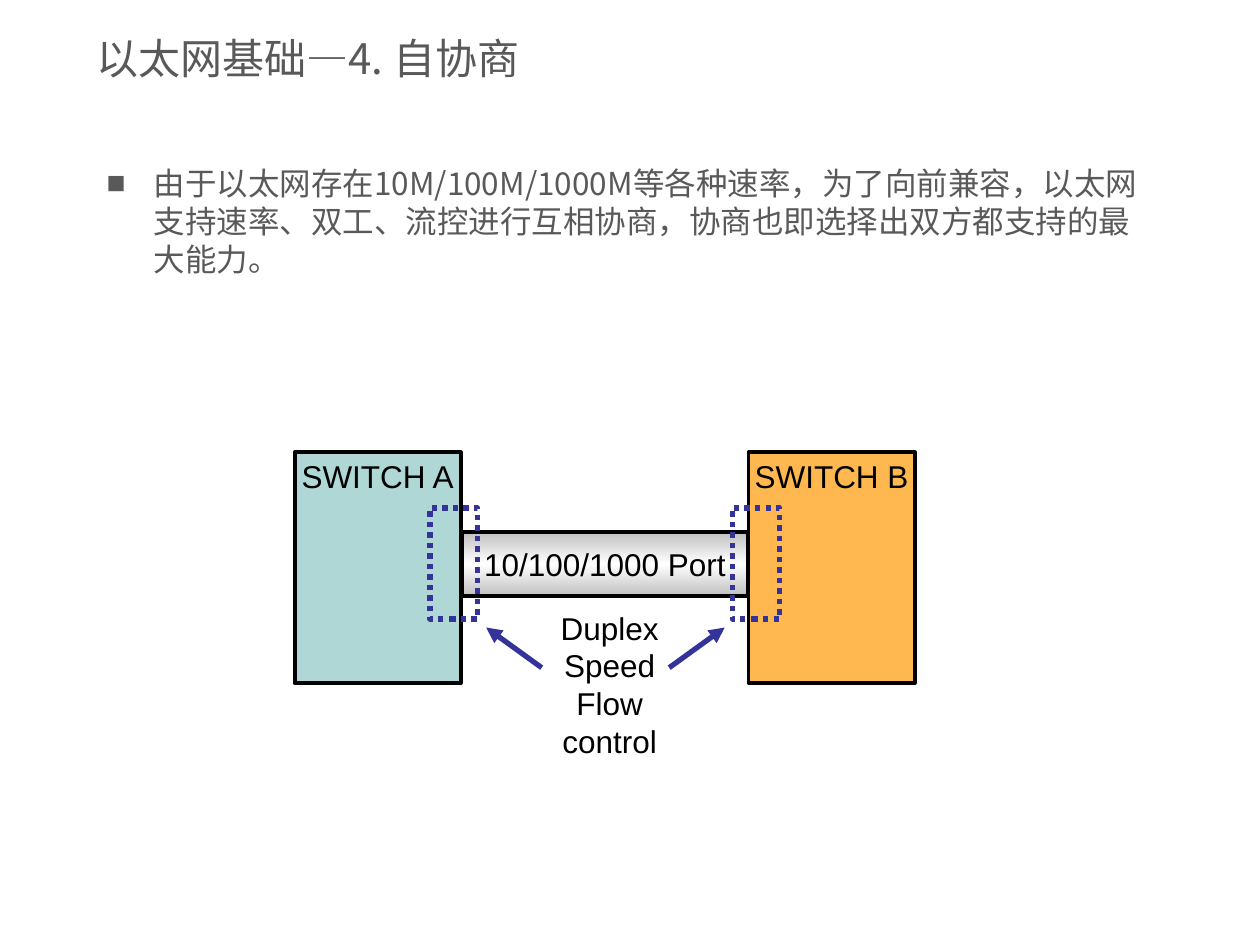
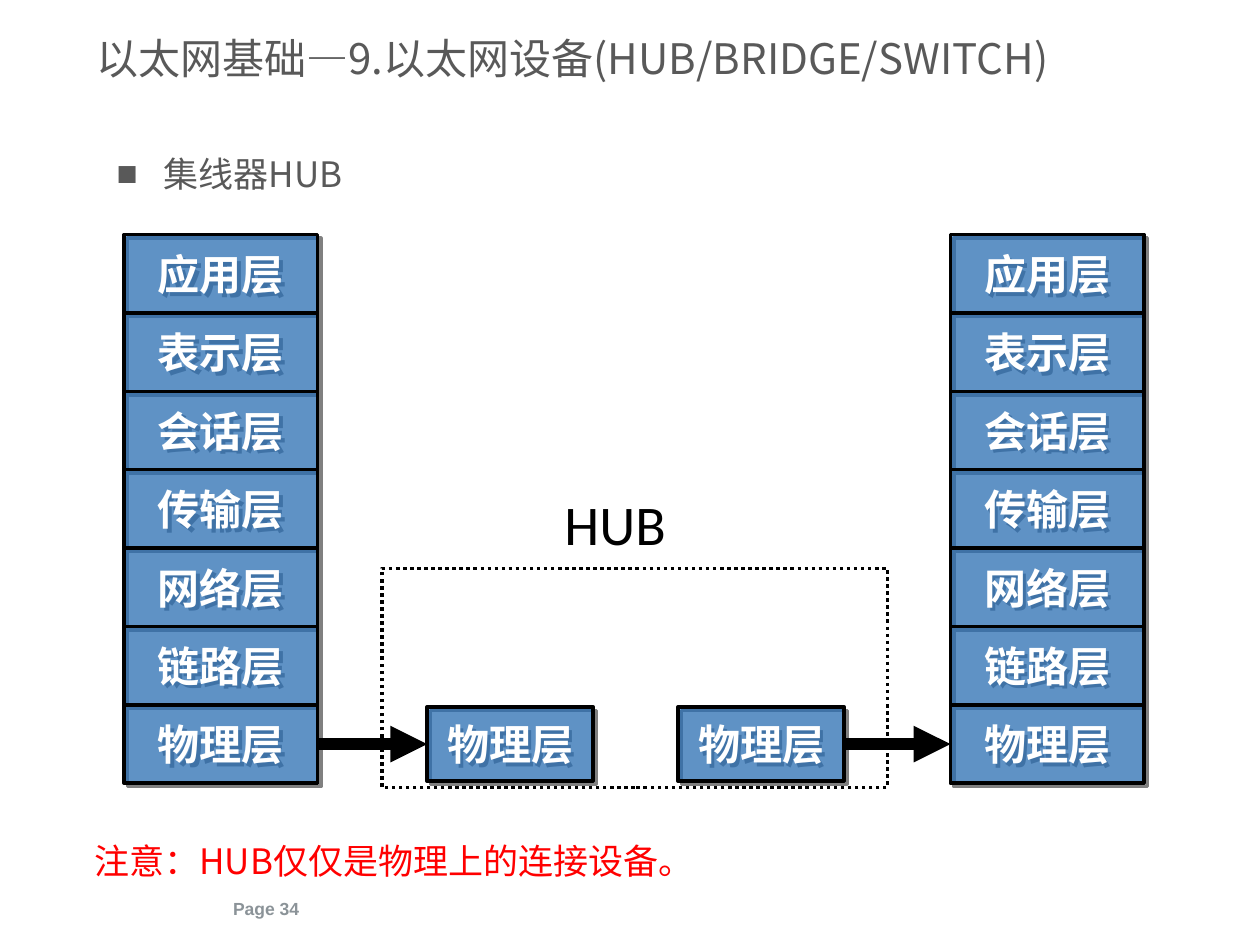
from dataclasses import dataclass
from typing import Optional

import lxml.etree
import pptx
import pptx.dml.color
import pptx.enum.dml
import pptx.enum.shapes
import pptx.enum.text
import pptx.oxml.ns
import pptx.shapes.autoshape
import pptx.shapes.connector
import pptx.slide
import pptx.util

Cm = pptx.util.Cm
Pt = pptx.util.Pt
RGBColor = pptx.dml.color.RGBColor
Align = pptx.enum.text.PP_ALIGN
Anchor = pptx.enum.text.MSO_ANCHOR
Shape = pptx.shapes.autoshape.Shape
Line = pptx.shapes.connector.Connector
Slide = pptx.slide.Slide
qn = pptx.oxml.ns.qn

BLACK = RGBColor(0x00, 0x00, 0x00)
WHITE = RGBColor(0xFF, 0xFF, 0xFF)
GREY = RGBColor(0x59, 0x59, 0x59)
SLATE = RGBColor(0x8B, 0x93, 0x98)
SILVER = RGBColor(0xC0, 0xC0, 0xC0)
RED = RGBColor(0xFF, 0x00, 0x00)
BLUE = RGBColor(0x00, 0x66, 0xCC)
NAVY = RGBColor(0x33, 0x33, 0x99)
TEAL = RGBColor(0xAE, 0xD7, 0xD6)
AMBER = RGBColor(0xFF, 0xB8, 0x4F)

HAN = "Noto Sans CJK SC"
LAYERS = ["应用层", "表示层", "会话层", "传输层", "网络层", "链路层", "物理层"]
LAYER_TOP, LAYER_WIDE, LAYER_HIGH = 4.73, 3.9, 1.58


@dataclass
class Area:
    left: float
    top: float
    wide: float
    high: float

    def spots(self) -> list[pptx.util.Length]:
        return [Cm(self.left), Cm(self.top), Cm(self.wide), Cm(self.high)]


@dataclass
class Style:
    size: float
    color: RGBColor = BLACK
    font: str = HAN
    bold: bool = False
    align: Align = Align.LEFT
    anchor: Anchor = Anchor.TOP
    inset: tuple[float, float] = (0.25, 0.13)
    wrap: bool = True
    indent: float = 0
    before: float = 0
    after: float = 0
    bullet: str = ""


TITLE = Style(24, GREY, anchor=Anchor.MIDDLE)
LABEL = Style(18, font="Arial", align=Align.CENTER, inset=(0.2, 0.1), wrap=False)
PORT = Style(18, font="Arial", align=Align.CENTER, anchor=Anchor.MIDDLE,
             inset=(0.2, 0.1), wrap=False)
MODES = Style(18, font="Arial", align=Align.CENTER, inset=(0.2, 0.1))
LAYER = Style(24, WHITE, "Times New Roman", True, Align.CENTER, Anchor.MIDDLE, wrap=False)
NOTE = Style(20, RED, inset=(0, 0), indent=0.5, after=3)
HUB = Style(32, font="Calibri", inset=(0, 0), after=4.8)
PAGE = Style(10, SLATE, "Arial", True, anchor=Anchor.MIDDLE)


def list_style(size: float) -> Style:
    return Style(size, GREY, indent=0.95, before=size * 0.2, bullet="■")


def write(shape: Shape, text: str, style: Style) -> None:
    frame = shape.text_frame
    frame.text = text
    frame.word_wrap = style.wrap
    frame.vertical_anchor = style.anchor
    frame.margin_left = frame.margin_right = Cm(style.inset[0])
    frame.margin_top = frame.margin_bottom = Cm(style.inset[1])
    for para in frame.paragraphs:
        para.alignment = style.align
        para.space_before = Pt(style.before)
        para.space_after = Pt(style.after)
        for run in para.runs:
            run.font.size = Pt(style.size)
            run.font.bold = style.bold
            run.font.color.rgb = style.color
            run.font.name = style.font
    for props in shape.element.iter(qn("a:rPr")):
        lxml.etree.SubElement(props, qn("a:ea"), typeface=HAN)
    for props in shape.element.iter(qn("a:pPr")):
        props.set("marL", str(Cm(style.indent)))
        props.set("indent", str(-Cm(style.indent)))
        if style.bullet:
            lxml.etree.SubElement(props, qn("a:buFont"), typeface="Arial")
            lxml.etree.SubElement(props, qn("a:buChar"), char=style.bullet)


def add_text(slide: Slide, area: Area, text: str, style: Style) -> None:
    write(slide.shapes.add_textbox(*area.spots()), text, style)


def add_box(slide: Slide, area: Area, fill: Optional[RGBColor], edge: RGBColor,
            weight: float, dotted: bool = False) -> Shape:
    box = slide.shapes.add_shape(pptx.enum.shapes.MSO_SHAPE.RECTANGLE, *area.spots())
    box.shadow.inherit = False
    if fill is None:
        box.fill.background()
    else:
        box.fill.solid()
        box.fill.fore_color.rgb = fill
    box.line.color.rgb = edge
    box.line.width = Pt(weight)
    if dotted:
        box.line.dash_style = pptx.enum.dml.MSO_LINE.ROUND_DOT
    return box


def add_arrow(slide: Slide, start: tuple[float, float], end: tuple[float, float],
              color: RGBColor, weight: float) -> Line:
    line = slide.shapes.add_connector(
        pptx.enum.shapes.MSO_CONNECTOR.STRAIGHT, *map(Cm, start + end))
    line.line.color.rgb = color
    line.line.width = Pt(weight)
    props = line.element.spPr
    lxml.etree.SubElement(props.find(qn("a:ln")), qn("a:tailEnd"), type="triangle")
    lxml.etree.SubElement(props, qn("a:effectLst"))
    return line


def join(slide: Slide, first: Shape, second: Shape) -> None:
    arrow = add_arrow(slide, (0, 0), (0, 0), BLACK, 7)
    arrow.begin_connect(first, 3)
    arrow.end_connect(second, 1)


def add_layer(slide: Slide, area: Area, name: str) -> Shape:
    box = add_box(slide, area, BLUE, BLACK, 2)
    props = box.element.spPr
    tint = props.find(qn("a:solidFill"))[0]
    lxml.etree.SubElement(tint, qn("a:alpha"), val="50000")
    shade = lxml.etree.SubElement(
        props.find(qn("a:effectLst")), qn("a:outerShdw"),
        dist=str(Pt(2.8)), dir="2700000", algn="ctr", rotWithShape="0")
    hue = lxml.etree.SubElement(shade, qn("a:srgbClr"), val="808080")
    lxml.etree.SubElement(hue, qn("a:alpha"), val="50000")
    write(box, name, LAYER)
    return box


def add_stack(slide: Slide, left: float) -> Shape:
    boxes = [add_layer(slide, Area(left, LAYER_TOP + row * LAYER_HIGH,
                                   LAYER_WIDE, LAYER_HIGH), name)
             for row, name in enumerate(LAYERS)]
    return boxes[-1]


def add_pipe(slide: Slide, area: Area, text: str) -> None:
    pipe = add_box(slide, area, None, BLACK, 2.25)
    pipe.fill.gradient()
    pipe.fill.gradient_angle = 90
    stops = pipe.element.spPr.find(qn("a:gradFill")).find(qn("a:gsLst"))
    for stop in list(stops):
        stops.remove(stop)
    for place, color in ((0, SILVER), (50, WHITE), (100, SILVER)):
        stop = lxml.etree.SubElement(stops, qn("a:gs"), pos=str(place * 1000))
        lxml.etree.SubElement(stop, qn("a:srgbClr"), val=str(color))
    write(pipe, text, PORT)


def add_page(deck: pptx.presentation.Presentation, title: str) -> Slide:
    slide = deck.slides.add_slide(deck.slide_layouts[6])
    add_text(slide, Area(1.7, 0.43, 22.02, 1.47), title, TITLE)
    return slide


def draw_link(deck: pptx.presentation.Presentation) -> None:
    slide = add_page(deck, "以太网基础—4. 自协商")
    add_text(slide, Area(1.9, 3.18, 21.64, 4.57),
             "由于以太网存在10M/100M/1000M等各种速率，为了向前兼容，以太网支持速率、双工、"
             "流控进行互相协商，协商也即选择出双方都支持的最大能力。", list_style(18))
    for left, name, fill in ((5.94, "SWITCH A", TEAL), (15.09, "SWITCH B", AMBER)):
        write(add_box(slide, Area(left, 9.12, 3.35, 4.65), fill, BLACK, 2.25), name, LABEL)
    add_pipe(slide, Area(9.31, 10.72, 5.77, 1.3), "10/100/1000 Port")
    for left in (8.67, 14.76):
        add_box(slide, Area(left, 10.24, 0.96, 2.24), None, NAVY, 3, dotted=True)
    for start, end in ((13.49, 14.61), (10.92, 9.8)):
        add_arrow(slide, (start, 13.46), (end, 12.65), NAVY, 3)
    add_text(slide, Area(10.74, 12.17, 3.1, 3.28), "Duplex Speed\nFlow control", MODES)


def draw_hub(deck: pptx.presentation.Presentation) -> None:
    slide = add_page(deck, "以太网基础—9.以太网设备(HUB/BRIDGE/SWITCH)")
    add_text(slide, Area(2.1, 2.95, 21.87, 13.97), "集线器HUB", list_style(20))
    add_text(slide, Area(4.45, 17.78, 2.54, 1.07), "Page 34", PAGE)
    add_text(slide, Area(1.9, 16.92, 12.24, 0.84), "注意：HUB仅仅是物理上的连接设备。", NOTE)
    source, target = [add_stack(slide, left) for left in (2.5, 19.16)]
    inlet, outlet = [add_layer(slide, Area(left, 14.25, 3.35, 1.5), LAYERS[-1])
                     for left in (8.61, 13.67)]
    join(slide, source, inlet)
    join(slide, outlet, target)
    add_box(slide, Area(7.7, 11.46, 10.19, 4.42), None, BLACK, 2, dotted=True)
    add_text(slide, Area(11.38, 9.86, 2.54, 1.35), "HUB", HUB)


def main() -> None:
    deck = pptx.Presentation()
    deck.slide_width = Cm(25.4)
    deck.slide_height = Cm(19.05)
    draw_link(deck)
    draw_hub(deck)
    deck.save("out.pptx")


if __name__ == "__main__":
    main()
